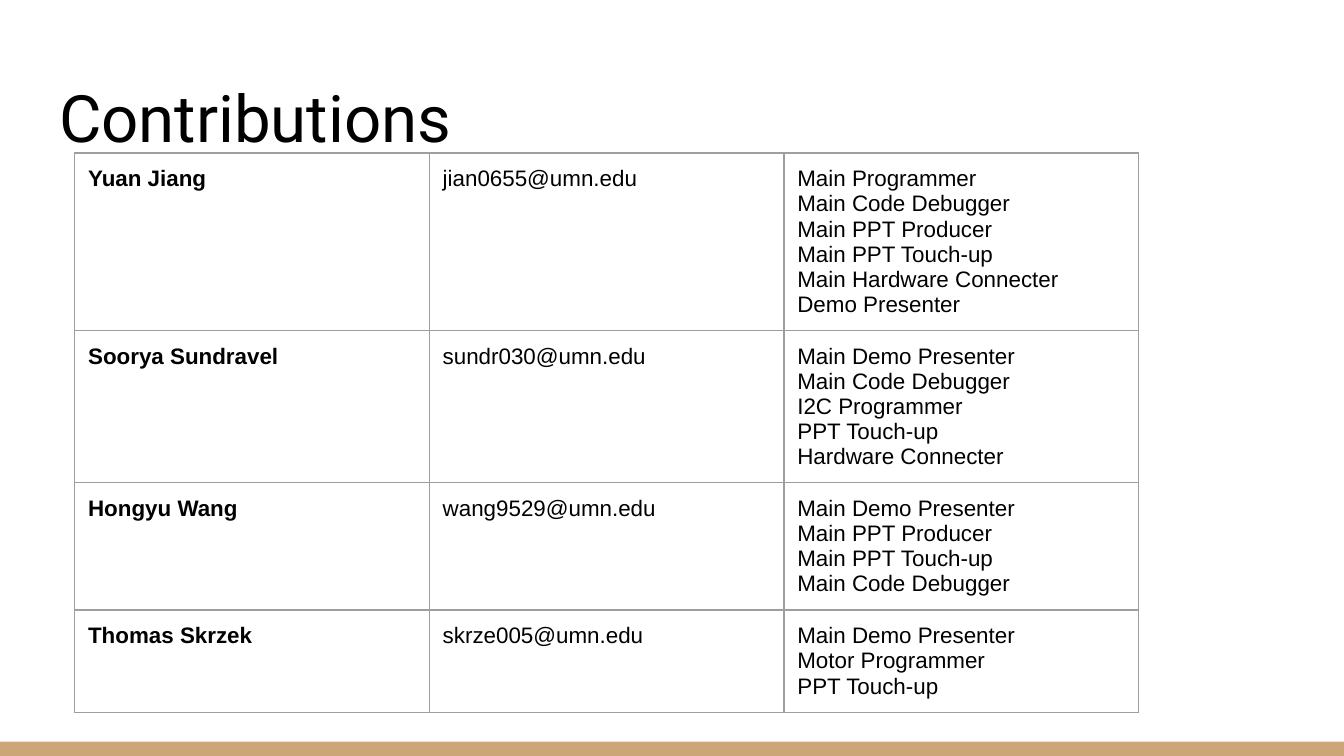
"""Build the contributions slide with its table of members and roles."""
from dataclasses import dataclass

import pptx
import pptx.dml.color
import pptx.enum.shapes
import pptx.enum.text
import pptx.oxml
import pptx.oxml.ns
import pptx.util
from lxml import etree

Pt = pptx.util.Pt


@dataclass(frozen=True)
class Theme:
    ink: str = "000000"
    band: str = "CCA677"
    rule: str = "9E9E9E"
    head: str = "Roboto"
    body: str = "Arial"
    large: float = 35
    small: float = 12
    inset: float = 7.2
    line: float = 0.75


@dataclass(frozen=True)
class Member:
    name: str
    mail: str
    roles: tuple[str, ...]


THEME = Theme()
TEAM = (
    Member("Yuan Jiang", "jian0655@umn.edu",
           ("Main Programmer", "Main Code Debugger", "Main PPT Producer",
            "Main PPT Touch-up", "Main Hardware Connecter", "Demo Presenter")),
    Member("Soorya Sundravel", "sundr030@umn.edu",
           ("Main Demo Presenter", "Main Code Debugger", "I2C Programmer",
            "PPT Touch-up", "Hardware Connecter")),
    Member("Hongyu Wang", "wang9529@umn.edu",
           ("Main Demo Presenter", "Main PPT Producer", "Main PPT Touch-up",
            "Main Code Debugger")),
    Member("Thomas Skrzek", "skrze005@umn.edu",
           ("Main Demo Presenter", "Motor Programmer", "PPT Touch-up")),
)


def color(code: str) -> pptx.dml.color.RGBColor:
    return pptx.dml.color.RGBColor.from_string(code)


def write(frame, text: str, *, font: str = THEME.body,
          size: float = THEME.small, bold: bool = False) -> None:
    frame.text = text
    for para in frame.paragraphs:
        para.alignment = pptx.enum.text.PP_ALIGN.LEFT
        for run in para.runs:
            run.font.name = font
            run.font.size = Pt(size)
            run.font.bold = bold
            run.font.color.rgb = color(THEME.ink)


def border(cell) -> None:
    props = cell._tc.get_or_add_tcPr()
    qn = pptx.oxml.ns.qn
    for side in ("lnL", "lnR", "lnT", "lnB"):
        line = etree.SubElement(props, qn(f"a:{side}"), w=str(Pt(THEME.line)))
        fill = etree.SubElement(line, qn("a:solidFill"))
        etree.SubElement(fill, qn("a:srgbClr"), val=THEME.rule)


def pad(box) -> None:
    box.margin_left = box.margin_right = Pt(THEME.inset)
    box.margin_top = box.margin_bottom = Pt(THEME.inset)


def add_band(slide) -> None:
    band = slide.shapes.add_shape(pptx.enum.shapes.MSO_SHAPE.RECTANGLE,
                                  Pt(0), Pt(397.4), Pt(720), Pt(7.6))
    band.shadow.inherit = False
    band.fill.solid()
    band.fill.fore_color.rgb = color(THEME.band)
    band.line.fill.background()


def add_title(slide, text: str) -> None:
    title = slide.shapes.title
    title.left, title.top = Pt(24.5), Pt(25.2)
    title.width, title.height = Pt(671), Pt(65.5)
    frame = title.text_frame
    pad(frame)
    frame.word_wrap = True
    frame.auto_size = pptx.enum.text.MSO_AUTO_SIZE.NONE
    frame.vertical_anchor = pptx.enum.text.MSO_ANCHOR.BOTTOM
    write(frame, text, font=THEME.head, size=THEME.large)


def add_team(slide, team: tuple[Member, ...]) -> None:
    wide, high = 190, 30
    grid = slide.shapes.add_table(len(team), 3, Pt(40), Pt(82),
                                  Pt(3 * wide), Pt(high * len(team))).table
    grid.first_row = grid.horz_banding = False
    for col in grid.columns:
        col.width = Pt(wide)
    for row, member in zip(grid.rows, team):
        row.height = Pt(high)
        texts = (member.name, member.mail, "\n".join(member.roles))
        for col, (cell, text) in enumerate(zip(row.cells, texts)):
            pad(cell)
            border(cell)
            cell.fill.background()
            write(cell.text_frame, text, bold=col == 0)


def main() -> None:
    deck = pptx.Presentation()
    deck.slide_width, deck.slide_height = Pt(720), Pt(405)
    slide = deck.slides.add_slide(deck.slide_layouts[5])
    add_band(slide)
    add_title(slide, "Contributions")
    add_team(slide, TEAM)
    deck.save("out.pptx")


if __name__ == "__main__":
    main()
